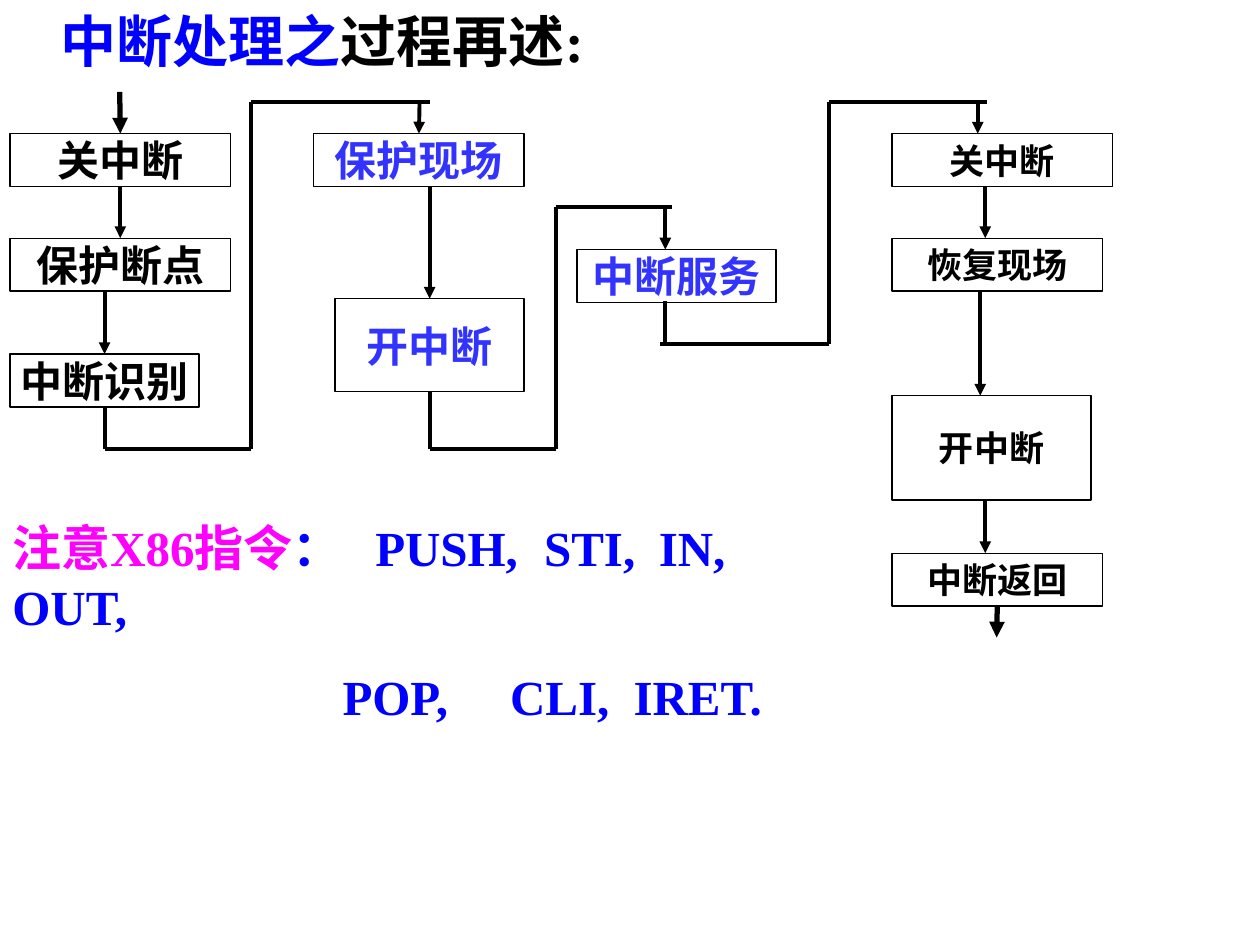
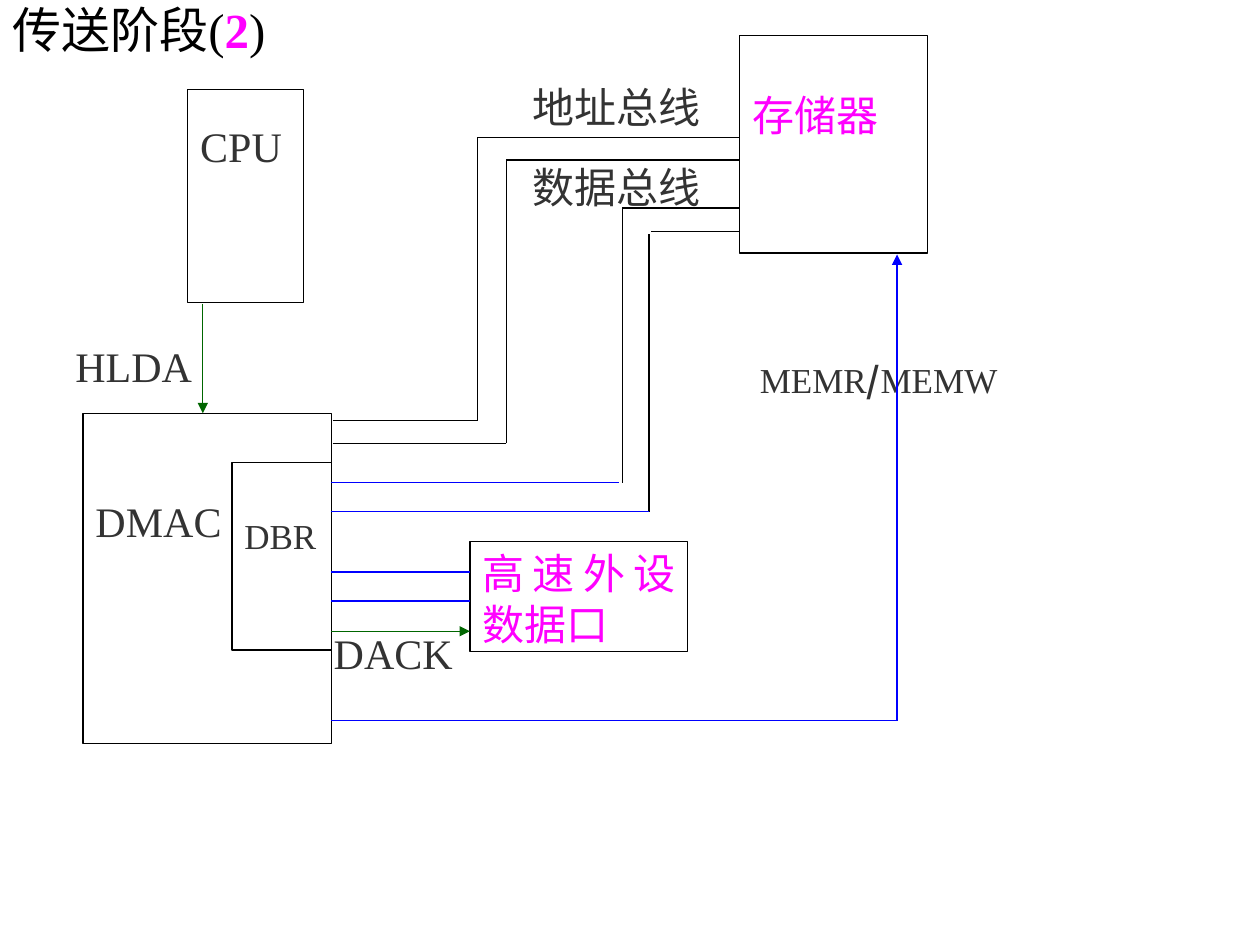
"""Build two slides: the interrupt handling flow and the DMA transfer stage."""
from pptx import Presentation
from pptx.dml.color import RGBColor
from pptx.enum.shapes import MSO_CONNECTOR, MSO_SHAPE
from pptx.enum.text import MSO_ANCHOR, MSO_AUTO_SIZE, PP_ALIGN
from pptx.oxml.ns import qn
from pptx.util import Inches, Pt
from lxml import etree

RECT, LINE = MSO_SHAPE.RECTANGLE, MSO_CONNECTOR.STRAIGHT
TOP, MIDDLE = MSO_ANCHOR.TOP, MSO_ANCHOR.MIDDLE
LEFT, CENTER, JUST = PP_ALIGN.LEFT, PP_ALIGN.CENTER, PP_ALIGN.JUSTIFY
FIXED = MSO_AUTO_SIZE.NONE
LATIN, ASIAN = "Times New Roman", "Noto Sans CJK SC"
BLACK, WHITE, GRAY = "000000", "FFFFFF", "333333"
BLUE, VIOLET, PINK, GREEN = "0000FF", "3333FF", "FF00FF", "006600"
hue = RGBColor.from_string


def write(para, runs, align=LEFT):
    """Add (text, size, colour, bold) runs to a paragraph."""
    para.alignment = align
    for words, size, color, bold in runs:
        run = para.add_run()
        run.text = words
        font = run.font
        font.name, font.size, font.bold = LATIN, Pt(size), bold
        font.color.rgb = hue(color)
        etree.SubElement(run._r.rPr, qn("a:ea")).set("typeface", ASIAN)


def wire(slide, boxes, points, color, width, arrow):
    """Draw a path of straight lines, joined to boxes at side middles."""
    for start, end in zip(points, points[1:]):
        ends = [Inches(v) for v in start + end]
        line = slide.shapes.add_connector(LINE, *ends)
        line.line.color.rgb, line.line.width = hue(color), Pt(width)
        if arrow and end == points[-1]:
            tip = etree.SubElement(line.line._get_or_add_ln(), qn("a:tailEnd"))
            tip.set("type", "triangle")
        etree.SubElement(line._element.spPr, qn("a:effectLst"))
        for box in boxes:
            x, y, w, h = box.left, box.top, box.width, box.height
            sides = [(x + w / 2, y), (x, y + h / 2),
                     (x + w / 2, y + h), (x + w, y + h / 2)]
            for site, (mx, my) in enumerate(sides):
                for px, py, join in [(*ends[:2], line.begin_connect),
                                     (*ends[2:], line.end_connect)]:
                    if max(abs(px - mx), abs(py - my)) < Inches(0.02):
                        join(box, site)


deck = Presentation()
deck.slide_width, deck.slide_height = Inches(10), Inches(7.5)

heads = [
    (5.04, 0.65, 0.48, 1.0, [("中断处理之", 32, BLUE, True),
                             ("过程再述:", 32, BLACK, True)]),
    (3.07, 0.52, 0.1, 0.9, [("传送阶段(", 28, BLACK, False),
                            ("2", 28, PINK, True), (")", 28, BLACK, False)]),
]
pages = []
for wide, high, inset, space, runs in heads:
    page = deck.slides.add_slide(deck.slide_layouts[5])
    title = page.shapes.title
    title.left = title.top = 0
    title.width, title.height = Inches(wide), Inches(high)
    frame = title.text_frame
    frame.auto_size, frame.vertical_anchor = FIXED, TOP
    frame.margin_left = Inches(inset)
    write(frame.paragraphs[0], runs)
    frame.paragraphs[0].line_spacing = space
    pages.append(page)
flow, dma = pages

steps = [
    ("关中断", 0.08, 1.06, 1.75, 0.42, 24, BLACK),
    ("保护断点", 0.08, 1.89, 1.75, 0.42, 24, BLACK),
    ("中断识别", 0.08, 2.81, 1.5, 0.42, 24, BLACK),
    ("保护现场", 2.49, 1.06, 1.67, 0.42, 24, VIOLET),
    ("开中断", 2.66, 2.37, 1.5, 0.74, 24, VIOLET),
    ("中断服务", 4.58, 1.98, 1.58, 0.42, 24, VIOLET),
    ("关中断", 7.08, 1.06, 1.75, 0.42, 20, BLACK),
    ("恢复现场", 7.08, 1.89, 1.67, 0.42, 20, BLACK),
    ("开中断", 7.08, 3.14, 1.58, 0.83, 20, BLACK),
    ("中断返回", 7.08, 4.39, 1.67, 0.42, 20, BLACK),
]
parts = [
    ("CPU", 1.49, 0.71, 0.92, 1.69, 24, GRAY, 0.25),
    ("存储器", 5.87, 0.28, 1.49, 1.73, 24, PINK, 0.43),
    ("DMAC", 0.66, 3.28, 1.97, 2.62, 24, GRAY, 0.65),
    ("高速外设数据口", 3.73, 4.3, 1.73, 0.87, 24, PINK, 0.05),
    ("DBR", 1.84, 3.67, 0.79, 1.49, 20, GRAY, 0.41),
]
tags = [
    ("数据总线", 4.13, 1.23, 1.61),
    ("地址总线", 4.13, 0.6, 1.61),
    ("DACK", 2.55, 4.93, 1.18),
    ("HLDA", 0.5, 2.65, 1.15),
    ("MEMR/MEMW", 5.86, 2.8, 2.31),
]
for name, x, y, wide in tags:
    tag = dma.shapes.add_textbox(Inches(x), Inches(y), Inches(wide), Inches(0.56))
    tag.text_frame.word_wrap = True
    para = tag.text_frame.paragraphs[0]
    if "/" in name:
        tag.text_frame.margin_left = Inches(0.17)
        write(para, [("MEMR", 20, GRAY, False), ("/", 20, GRAY, True),
                     ("MEMW", 20, GRAY, False)])
        para.runs[1].font.name = ASIAN
    else:
        write(para, [(name, 24, GRAY, False)])

stages, blocks = [], []
for page, rows, nodes in [(flow, steps, stages), (dma, parts, blocks)]:
    for name, x, y, wide, high, size, color, *inset in rows:
        box = page.shapes.add_shape(RECT, Inches(x), Inches(y), Inches(wide), Inches(high))
        box.shadow.inherit = False
        box.fill.solid()
        box.fill.fore_color.rgb = hue(WHITE)
        box.line.color.rgb, box.line.width = hue(BLACK), Pt(0.75)
        frame = box.text_frame
        frame.word_wrap = bool(inset)
        frame.vertical_anchor = TOP if inset else MIDDLE
        if inset:
            frame.margin_top = Inches(inset[0])
        write(frame.paragraphs[0], [(name, size, color, not inset)],
              JUST if inset else CENTER)
        nodes.append(box)

turns = [
    [(0.83, 3.23), (0.83, 3.56), (1.99, 3.56), (1.99, 0.81), (3.41, 0.81)],
    [(3.41, 3.11), (3.41, 3.56), (4.41, 3.56), (4.41, 1.64), (5.33, 1.64)],
    [(5.28, 2.39), (5.28, 2.73)],
    [(5.24, 2.73), (6.58, 2.73), (6.58, 0.81), (7.83, 0.81)],
]
for points in turns:
    wire(flow, stages, points, BLACK, 2.25, False)

drops = [
    (0.95, 0.73, 1.06, 3), (0.95, 1.48, 1.89, 2.25), (0.83, 2.31, 2.81, 2.25),
    (3.33, 0.81, 1.06, 2.25), (3.41, 1.48, 2.37, 2.25), (5.28, 1.64, 1.98, 2.25),
    (7.76, 0.81, 1.06, 2.25), (7.82, 1.48, 1.89, 2.25), (7.78, 2.31, 3.14, 2.25),
    (7.82, 3.98, 4.39, 2.25), (7.91, 4.81, 5.06, 3),
]
for x, y, low, width in drops:
    wire(flow, stages, [(x, y), (x, low)], BLACK, width, True)

note = flow.shapes.add_textbox(0, Inches(4.06), Inches(6.69), Inches(1.75))
frame = note.text_frame
frame.word_wrap = True
first, last = frame.paragraphs[0], frame.add_paragraph()
last.space_before = Pt(17.5)
for para, stops in [(first, (2.88, 4.22, 5.13)), (last, (2.62, 3.95, 4.93))]:
    tabs = etree.SubElement(para._p.get_or_add_pPr(), qn("a:tabLst"))
    for stop in stops:
        etree.SubElement(tabs, qn("a:tab"), pos=str(Inches(stop)), algn="l")
write(first, [("注意X86指令", 28, PINK, True), ("：\tPUSH,\tSTI,\tIN,", 28, BLUE, True)])
first.add_line_break()
write(first, [("OUT,", 28, BLUE, True)])
write(last, [("\tPOP,\tCLI,\tIRET.", 28, BLUE, True)])

paths = [
    ([(1.61, 2.41), (1.61, 3.28)], GREEN, True),
    ([(2.63, 5.01), (3.73, 5.01)], GREEN, True),
    ([(2.63, 5.72), (7.12, 5.72), (7.12, 2.02)], BLUE, True),
    ([(2.64, 3.52), (4.02, 3.52), (4.02, 1.27), (5.87, 1.27)], BLACK, False),
    ([(2.64, 3.34), (3.79, 3.34), (3.79, 1.09), (5.87, 1.09)], BLACK, False),
    ([(5.87, 1.65), (4.94, 1.65), (4.94, 3.83)], BLACK, False),
    ([(5.87, 1.84), (5.17, 1.84)], BLACK, False),
    ([(5.15, 1.86), (5.15, 4.06)], BLACK, False),
    ([(2.63, 3.83), (4.91, 3.83)], BLUE, False),
    ([(2.63, 4.06), (5.15, 4.06)], BLUE, False),
    ([(2.63, 4.54), (3.73, 4.54)], BLUE, False),
    ([(2.63, 4.77), (3.73, 4.77)], BLUE, False),
]
for points, color, arrow in paths:
    wire(dma, blocks, points, color, 0.75, arrow)

deck.save("out.pptx")
